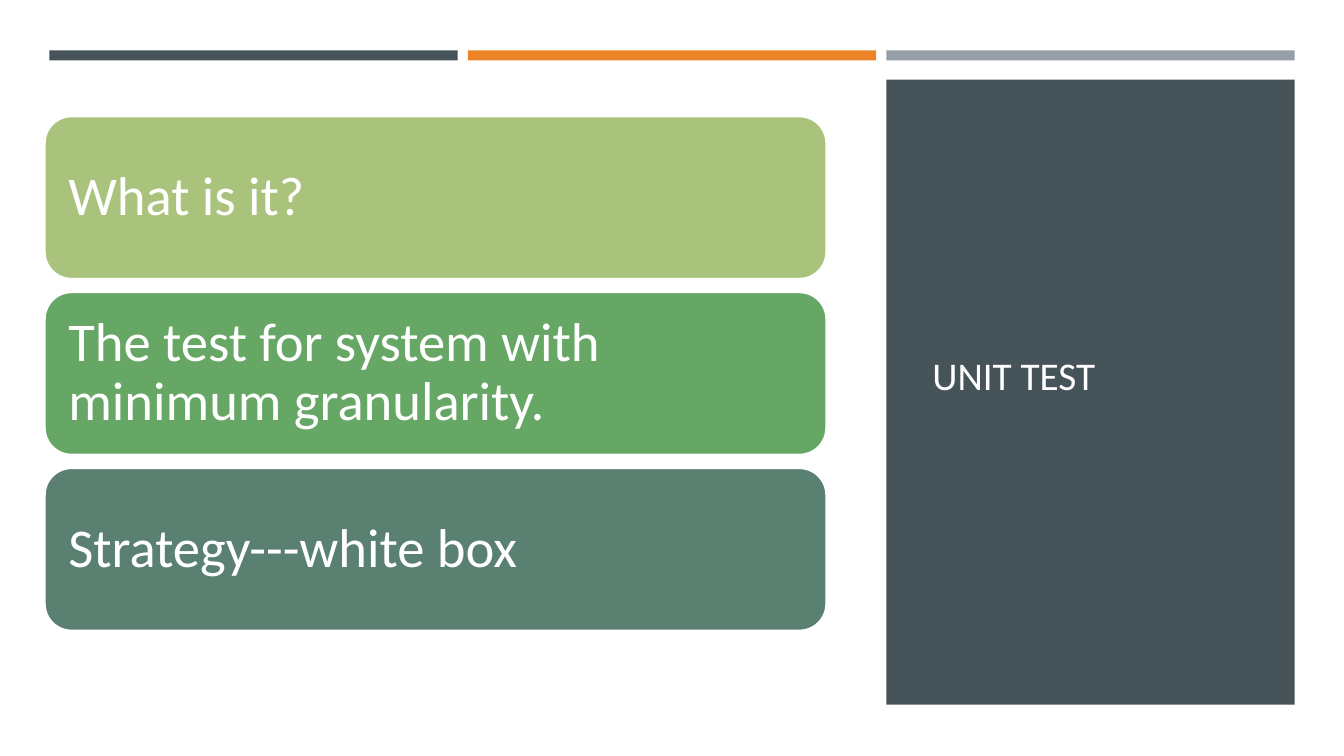
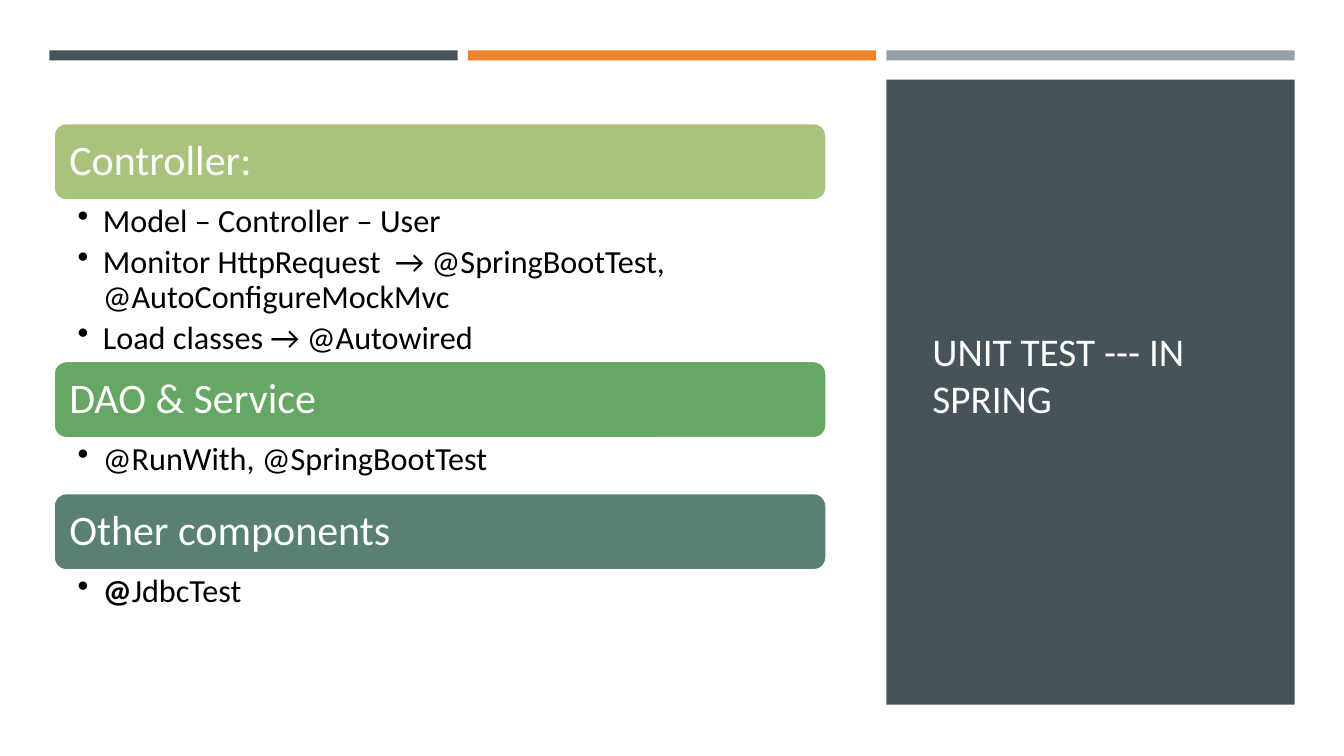
from lxml.etree import SubElement
from pptx import Presentation
from pptx.dml.color import RGBColor
from pptx.enum.shapes import MSO_SHAPE
from pptx.enum.text import MSO_ANCHOR, PP_ALIGN
from pptx.oxml.ns import qn
from pptx.util import Inches, Pt

FONT = "Calibri"
WHITE, BLACK, TITLE_WHITE = "FFFFFF", "000000", "FFFEFF"
SLATE, ORANGE, GREY = "465359", "ED8428", "969FA7"
CARD_FILLS = ["A9C37C", "66A765", "5A8071"]
CARD_RIGHT = 8.2
BAND_LEFT, BAND_WIDTH, BAND_STEP = 0.49, 4.05, 4.15


def rgb(hex_string):
    return RGBColor.from_string(hex_string)


class Deck:
    """Holds the shared style and the slide being built."""

    def __init__(self):
        self.presentation = Presentation()
        self.presentation.slide_width = Inches(13.33)
        self.presentation.slide_height = Inches(7.5)
        self.slide = None

    def new_slide(self, title):
        """Start a slide with the three top bands and the title panel."""
        self.slide = self.presentation.slides.add_slide(
            self.presentation.slide_layouts[6])
        for column, fill in enumerate([SLATE, ORANGE, GREY]):
            self.block(MSO_SHAPE.RECTANGLE, BAND_LEFT + column * BAND_STEP,
                       0.5, BAND_WIDTH, 0.1, fill)
        self.block(MSO_SHAPE.RECTANGLE, BAND_LEFT + 2 * BAND_STEP, 0.79,
                   BAND_WIDTH, 6.2, SLATE)
        frame = self.text_box(9.15, 1.14, 3.34, 5.15)
        frame.vertical_anchor = MSO_ANCHOR.MIDDLE
        self.run(frame.paragraphs[0], title, 28, TITLE_WHITE)

    def block(self, preset, left, top, width, height, fill):
        shape = self.slide.shapes.add_shape(
            preset, Inches(left), Inches(top), Inches(width), Inches(height))
        shape.shadow.inherit = False
        shape.fill.solid()
        shape.fill.fore_color.rgb = rgb(fill)
        shape.line.fill.background()
        return shape

    def text_box(self, left, top, width, height):
        frame = self.slide.shapes.add_textbox(
            Inches(left), Inches(top), Inches(width), Inches(height)).text_frame
        frame.word_wrap = True
        return frame

    def run(self, paragraph, text, size, color, bold=False):
        run = paragraph.add_run()
        run.text = text
        run.font.name = FONT
        run.font.size = Pt(size)
        run.font.bold = bold
        run.font.color.rgb = rgb(color)

    def card(self, left, top, height, fill, text, size, inset):
        """Add a rounded card with left-aligned white text."""
        card = self.block(MSO_SHAPE.ROUNDED_RECTANGLE, left, top,
                          CARD_RIGHT - left, height, fill)
        card.line.color.rgb = rgb(WHITE)
        card.line.width = Pt(2)
        frame = card.text_frame
        frame.word_wrap = True
        frame.vertical_anchor = MSO_ANCHOR.MIDDLE
        frame.margin_left = frame.margin_right = Inches(inset)
        frame.margin_top = frame.margin_bottom = Inches(inset)
        paragraph = frame.paragraphs[0]
        paragraph.alignment = PP_ALIGN.LEFT
        paragraph.line_spacing = 0.9
        self.run(paragraph, text, size, WHITE)

    def bullets(self, left, top, height, items):
        """Add a bulleted list; each item is a list of (text, bold) runs."""
        frame = self.text_box(left, top, CARD_RIGHT - left, height)
        frame.margin_left, frame.margin_right = Inches(0.24), Inches(0.23)
        frame.margin_top = frame.margin_bottom = Inches(0.04)
        for index, item in enumerate(items):
            paragraph = frame.add_paragraph() if index else frame.paragraphs[0]
            paragraph.line_spacing = 0.9
            paragraph.space_after = Pt(4.6)
            properties = paragraph._p.get_or_add_pPr()
            properties.set("marL", str(Inches(0.25)))
            properties.set("indent", str(-Inches(0.25)))
            SubElement(properties, qn("a:buChar")).set("char", "•")
            for text, bold in item:
                self.run(paragraph, text, 23, BLACK, bold)


def add_unit_test(deck):
    deck.new_slide("UNIT TEST")
    points = ["What is it?", "The test for system with minimum granularity.",
              "Strategy---white box"]
    for row, (point, fill) in enumerate(zip(points, CARD_FILLS)):
        deck.card(0.44, 1.15 + row * 1.745, 1.62, fill, point, 39, 0.16)


def add_unit_test_in_spring(deck):
    deck.new_slide("UNIT TEST --- IN SPRING")
    sections = [
        ("Controller:", 1.59, [
            [("Model – Controller – User", False)],
            [("Monitor HttpRequest  → @SpringBootTest, @AutoConfigureMockMvc",
              False)],
            [("Load classes → @Autowired", False)]]),
        ("DAO & Service", 0.54, [[("@RunWith, @SpringBootTest", False)]]),
        ("Other components", 0.54, [[("@", True), ("JdbcTest", False)]]),
    ]
    left, top, heading_height = 0.53, 1.22, 0.77
    for (heading, list_height, items), fill in zip(sections, CARD_FILLS):
        deck.card(left, top, heading_height, fill, heading, 30, 0.12)
        deck.bullets(left, top + heading_height, list_height, items)
        top += heading_height + list_height


def main():
    deck = Deck()
    add_unit_test(deck)
    add_unit_test_in_spring(deck)
    deck.presentation.save("out.pptx")


if __name__ == "__main__":
    main()
